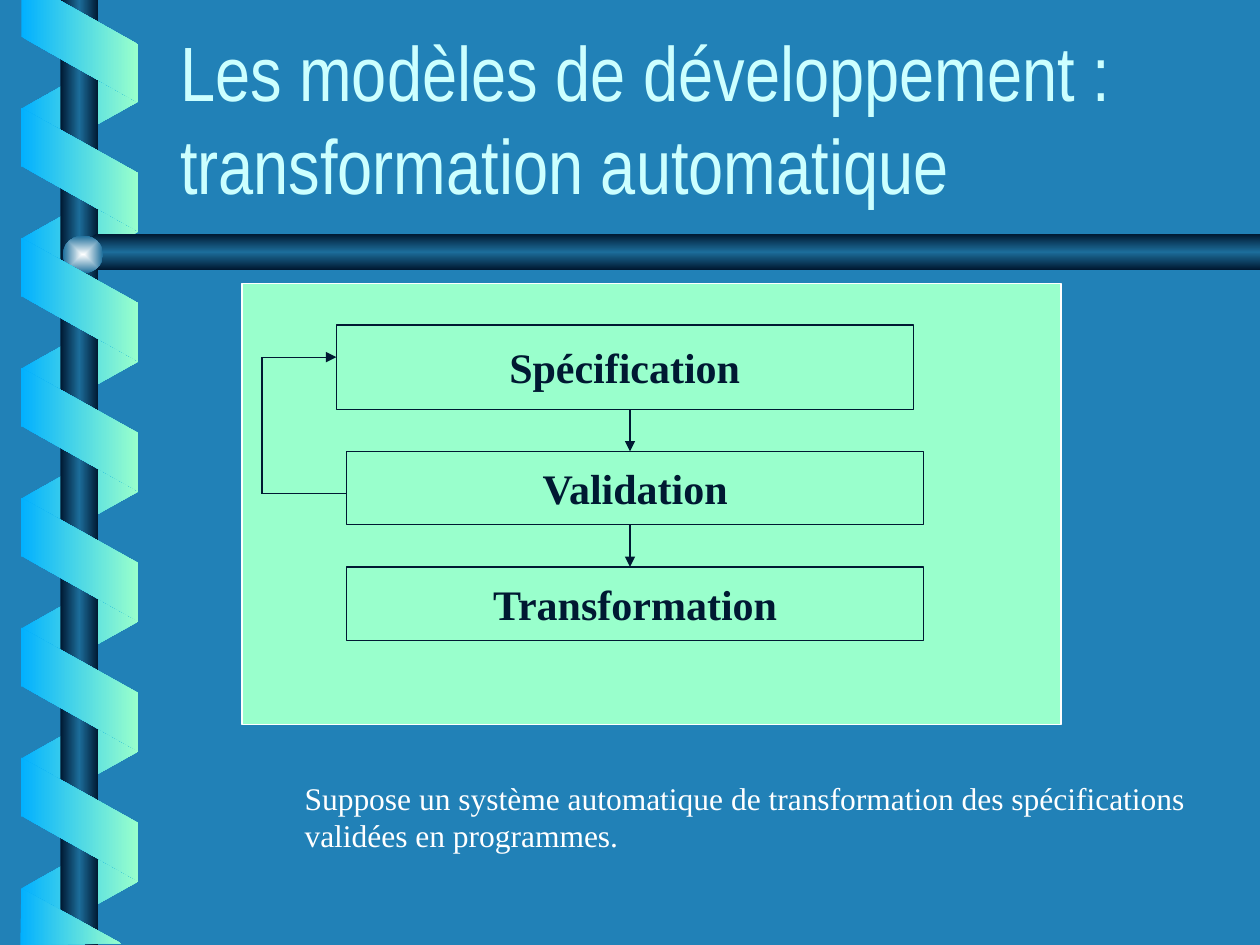
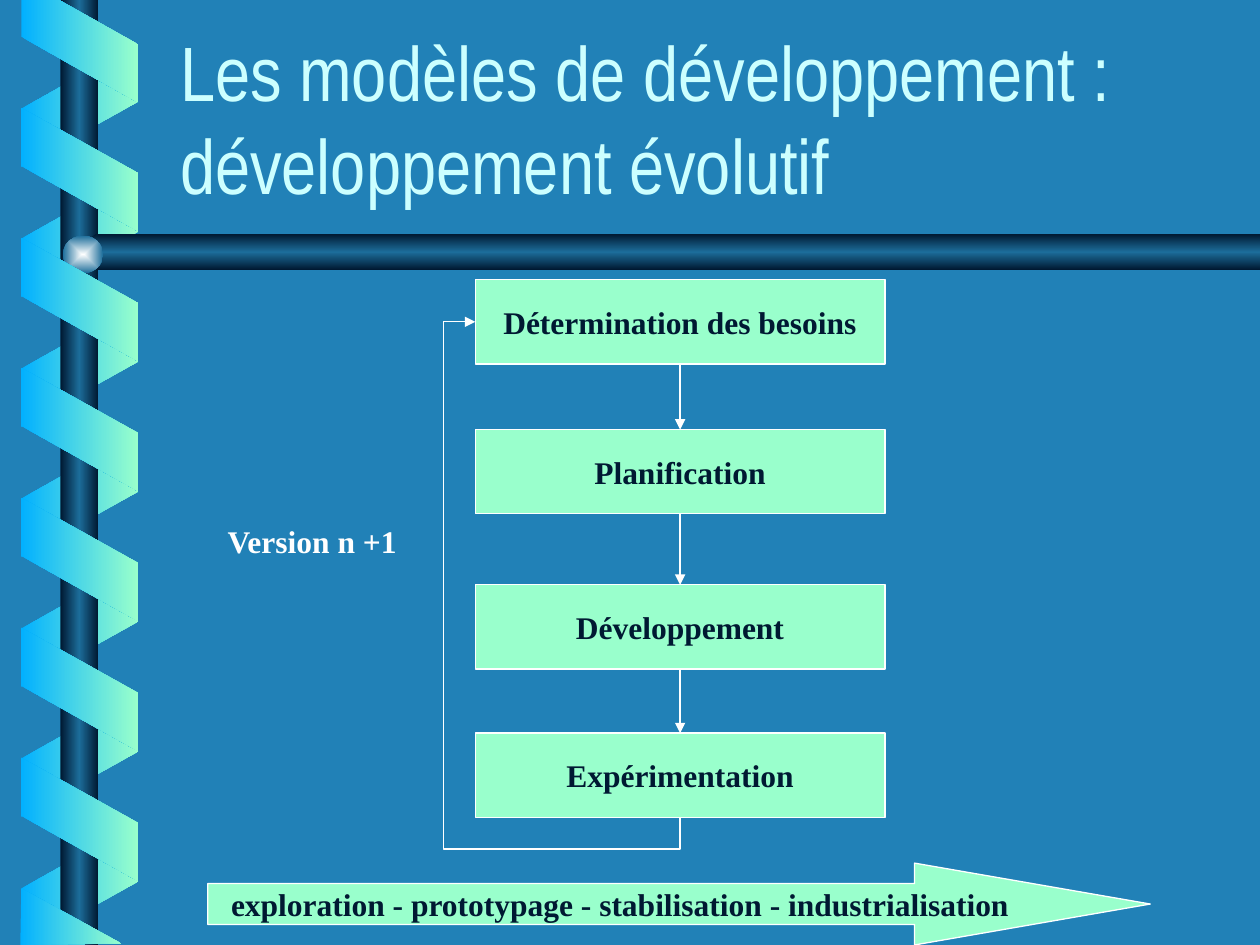
from pptx import Presentation
from pptx.dml.color import RGBColor
from pptx.enum.shapes import MSO_CONNECTOR, MSO_SHAPE
from pptx.enum.text import MSO_ANCHOR, MSO_AUTO_SIZE, PP_ALIGN
from pptx.oxml import parse_xml
from pptx.oxml.ns import nsdecls, qn
from pptx.oxml.xmlchemy import OxmlElement
from pptx.util import Cm, Pt

STRAIGHT, ELBOW = MSO_CONNECTOR.STRAIGHT, MSO_CONNECTOR.ELBOW
RECTANGLE, OVAL, RIGHT_ARROW = MSO_SHAPE.RECTANGLE, MSO_SHAPE.OVAL, MSO_SHAPE.RIGHT_ARROW
MIDDLE, BOTTOM, TOP = MSO_ANCHOR.MIDDLE, MSO_ANCHOR.BOTTOM, MSO_ANCHOR.TOP
LEFT, CENTER = PP_ALIGN.LEFT, PP_ALIGN.CENTER
FIT_SHAPE = MSO_AUTO_SIZE.SHAPE_TO_FIT_TEXT

BLUE = RGBColor(0x21, 0x81, 0xB7)
NAVY = RGBColor(0x00, 0x19, 0x32)
STEEL = RGBColor(0x1C, 0x6D, 0x9A)
SKY = RGBColor(0x01, 0xB0, 0xFF)
MINT = RGBColor(0x99, 0xFF, 0xCC)
ICE = RGBColor(0xCC, 0xFF, 0xFF)
PEARL = RGBColor(0xFE, 0xFF, 0xFF)
WHITE = RGBColor(0xFF, 0xFF, 0xFF)

TITLE_FONT = {"name": "Arial Narrow", "size": Pt(44)}
BODY_FONT = {"name": "Times New Roman", "size": Pt(18)}
LABEL_FONT = {**BODY_FONT, "bold": True}
STEP_FONT = {**LABEL_FONT, "size": Pt(24)}

# All lengths below are in centimetres.
PAGE_WIDTH, PAGE_HEIGHT = 25.4, 19.05
RIBBON_LEFT, RIBBON_RIGHT = 0.42, 2.78
RIBBON_SLANT, RIBBON_THICKNESS, RIBBON_PITCH = 1.32, 1.17, 2.62
BACK_TOP, BACK_COUNT = 0.88, 7
FRONT_TOP, FRONT_COUNT = 2.17, 6
FIRST_RIBBON = [(0.43, 0), (0.43, 0.74), (2.77, 2.06), (2.77, 0.89), (1.19, 0)]
LAST_RIBBON = [(2.44, 19.02), (0.43, 17.91), (0.41, 19.05)]
BAND = [(25.4, 4.72), (1.93, 4.72), (1.52, 5.08), (1.93, 5.44), (25.4, 5.44)]
POST = (1.22, 0, 0.76, PAGE_HEIGHT)
KNOB = (1.27, 4.75, 0.81, 0.76)
TUBE_COLOURS = (NAVY, STEEL, NAVY)

TITLE_AREA = (3.38, 1.17, 21.59, 3.18)
TITLE_START = "Les modèles de développement :"

PANEL = (4.88, 5.72, 16.51, 8.89)
TRANSFORMATION_STEPS = [
    ("Spécification", (6.78, 6.55, 11.63, 1.7)),
    ("Validation", (6.99, 9.1, 11.63, 1.48)),
    ("Transformation", (6.99, 11.43, 11.63, 1.48)),
]
ARROW_X = 12.7
LOOP_X, LOOP_TOP, LOOP_BOTTOM = 5.28, 7.2, 9.95
CAPTION = [
    "Suppose un système automatique de transformation des spécifications",
    "validées en programmes.",
]
CAPTION_AREA = (5.89, 15.57, 18.26, 2.54)

EVOLUTION_STEPS = [
    ("Détermination des besoins", 5.64),
    ("Planification", 8.66),
    ("Développement", 11.79),
    ("Expérimentation", 14.78),
]
STEP_LEFT, STEP_WIDTH, STEP_HEIGHT = 9.58, 8.26, 1.7
DETOUR = 0.64
VERSION_AREA = (4.34, 10.39, 3.96, 1.02)
PHASES = "exploration - prototypage - stabilisation - industrialisation"
PHASES_AREA = (4.19, 17.4, 19, 1.65)


def lengths(values):
    return [Cm(value) for value in values]


def fill_gradient(shape, colours, angle=None):
    """Spread the colours evenly; without an angle they run inwards to outwards."""
    last = len(colours) - 1
    stops = "".join(
        f'<a:gs pos="{100000 * i // last}"><a:srgbClr val="{colour}"/></a:gs>'
        for i, colour in enumerate(colours))
    if angle is None:
        course = ('<a:path path="rect"><a:fillToRect l="50000" t="50000" '
                  'r="50000" b="50000"/></a:path>')
    else:
        course = f'<a:lin ang="{angle * 60000}" scaled="0"/>'
    shape.fill.background()
    properties = shape.element.spPr
    gradient = parse_xml(f'<a:gradFill {nsdecls("a")} rotWithShape="1">'
                         f'<a:gsLst>{stops}</a:gsLst>{course}</a:gradFill>')
    properties.replace(properties.find(qn("a:noFill")), gradient)
    shape.line.fill.background()
    shape.shadow.inherit = False


def add_outline(page, points, colours, angle):
    corners = [lengths(point) for point in points]
    builder = page.shapes.build_freeform(*corners[0], scale=1.0)
    builder.add_line_segments(corners[1:], close=True)
    fill_gradient(builder.convert_to_shape(), colours, angle)


def add_ribbons(page, first_top, count, left_drop, right_drop):
    for i in range(count):
        top = first_top + i * RIBBON_PITCH
        left_top, right_top = top + left_drop, top + right_drop
        points = [(RIBBON_LEFT, left_top), (RIBBON_RIGHT, right_top),
                  (RIBBON_RIGHT, right_top + RIBBON_THICKNESS),
                  (RIBBON_LEFT, left_top + RIBBON_THICKNESS)]
        add_outline(page, points, (SKY, MINT), 0)


def write(shape, lines, font, colour, align=LEFT, anchor=TOP, wrap=False):
    frame = shape.text_frame
    frame.word_wrap = wrap
    frame.vertical_anchor = anchor
    frame.text = "\n".join(lines)
    for para in frame.paragraphs:
        para.alignment = align
        for span in para.runs:
            for key, value in font.items():
                setattr(span.font, key, value)
            span.font.color.rgb = colour


def add_note(page, area, lines, font):
    box = page.shapes.add_textbox(*lengths(area))
    write(box, lines, font, WHITE)
    box.text_frame.auto_size = FIT_SHAPE


def add_box(page, area, line_colour, label=None, font=None, kind=RECTANGLE):
    box = page.shapes.add_shape(kind, *lengths(area))
    box.shadow.inherit = False
    box.fill.solid()
    box.fill.fore_color.rgb = MINT
    box.line.color.rgb = line_colour
    box.line.width = Pt(0.75)
    if label:
        write(box, [label], font, NAVY, CENTER, MIDDLE)
    return box


def add_line(page, start, end, colour, arrow=True, kind=STRAIGHT):
    line = page.shapes.add_connector(kind, *lengths(start + end))
    line.line.color.rgb = colour
    line.line.width = Pt(0.75)
    if arrow:
        head = OxmlElement("a:tailEnd")
        head.set("type", "triangle")
        line.line._get_or_add_ln().append(head)
    line.element.spPr.append(OxmlElement("a:effectLst"))
    return line


def add_return_loop(page, last_box, first_box):
    """Lead from under the last box, round the left, to the side of the first."""
    start = (STEP_LEFT + STEP_WIDTH / 2, EVOLUTION_STEPS[-1][1] + STEP_HEIGHT)
    end = (STEP_LEFT, EVOLUTION_STEPS[0][1] + STEP_HEIGHT / 2)
    loop = add_line(page, start, end, WHITE, kind=ELBOW)
    loop.begin_connect(last_box, 2)
    loop.end_connect(first_box, 1)
    breadth, length = start[0] - end[0], start[1] - end[1]
    frame = {"left": (start[0] + end[0] - length) / 2,
             "top": (start[1] + end[1] - breadth) / 2,
             "width": length, "height": breadth}
    for key, value in frame.items():
        setattr(loop, key, Cm(value))
    properties = loop.element.spPr
    transform = properties.find(qn("a:xfrm"))
    for key, value in {"rot": "16200000", "flipH": "0", "flipV": "1"}.items():
        transform.set(key, value)
    bends = {"adj1": -DETOUR / length, "adj2": 1 + DETOUR / breadth}
    guides = "".join(f'<a:gd name="{name}" fmla="val {round(100000 * value)}"/>'
                     for name, value in bends.items())
    geometry = parse_xml(f'<a:prstGeom {nsdecls("a")} prst="bentConnector4">'
                         f'<a:avLst>{guides}</a:avLst></a:prstGeom>')
    properties.replace(properties.find(qn("a:prstGeom")), geometry)


def add_page(deck, title_end):
    """Add a page with the spiral, the band and the title."""
    page = deck.slides.add_slide(deck.slide_layouts[6])
    add_ribbons(page, BACK_TOP, BACK_COUNT, RIBBON_SLANT, 0)
    post = page.shapes.add_shape(RECTANGLE, *lengths(POST))
    fill_gradient(post, TUBE_COLOURS, 0)
    add_outline(page, BAND, TUBE_COLOURS, 90)
    knob = page.shapes.add_shape(OVAL, *lengths(KNOB))
    fill_gradient(knob, (PEARL, STEEL))
    add_ribbons(page, FRONT_TOP, FRONT_COUNT, 0, RIBBON_SLANT)
    for points in (FIRST_RIBBON, LAST_RIBBON):
        add_outline(page, points, (SKY, MINT), 0)
    title = page.shapes.add_textbox(*lengths(TITLE_AREA))
    write(title, [f"{TITLE_START}\v{title_end}"], TITLE_FONT, ICE, anchor=BOTTOM, wrap=True)
    return page


def add_transformation_page(deck):
    page = add_page(deck, "transformation automatique")
    add_box(page, PANEL, WHITE)
    for label, area in TRANSFORMATION_STEPS:
        add_box(page, area, NAVY, label, STEP_FONT)
    areas = [area for _, area in TRANSFORMATION_STEPS]
    for upper, lower in zip(areas, areas[1:]):
        add_line(page, (ARROW_X, upper[1] + upper[3]), (ARROW_X, lower[1]), NAVY)
    specification, validation = areas[:2]
    add_line(page, (LOOP_X, LOOP_BOTTOM), (LOOP_X, LOOP_TOP), NAVY, arrow=False)
    add_line(page, (LOOP_X, LOOP_TOP), (specification[0], LOOP_TOP), NAVY)
    add_line(page, (LOOP_X, LOOP_BOTTOM), (validation[0], LOOP_BOTTOM), NAVY, arrow=False)
    add_note(page, CAPTION_AREA, CAPTION, BODY_FONT)


def add_evolution_page(deck):
    page = add_page(deck, "développement évolutif")
    boxes = [add_box(page, (STEP_LEFT, top, STEP_WIDTH, STEP_HEIGHT), WHITE, label, LABEL_FONT)
             for label, top in EVOLUTION_STEPS]
    for upper, lower in zip(boxes, boxes[1:]):
        arrow = add_line(page, (0, 0), (0, 0), WHITE)
        arrow.begin_connect(upper, 2)
        arrow.end_connect(lower, 0)
    add_return_loop(page, boxes[-1], boxes[0])
    add_note(page, VERSION_AREA, ["Version n +1"], LABEL_FONT)
    phases = add_box(page, PHASES_AREA, WHITE, PHASES, LABEL_FONT, RIGHT_ARROW)
    phases.adjustments[0] = 0.5
    phases.adjustments[1] = 2.88


def main():
    deck = Presentation()
    deck.slide_width, deck.slide_height = Cm(PAGE_WIDTH), Cm(PAGE_HEIGHT)
    background = deck.slide_master.background.fill
    background.solid()
    background.fore_color.rgb = BLUE
    add_transformation_page(deck)
    add_evolution_page(deck)
    deck.save("out.pptx")


if __name__ == "__main__":
    main()
